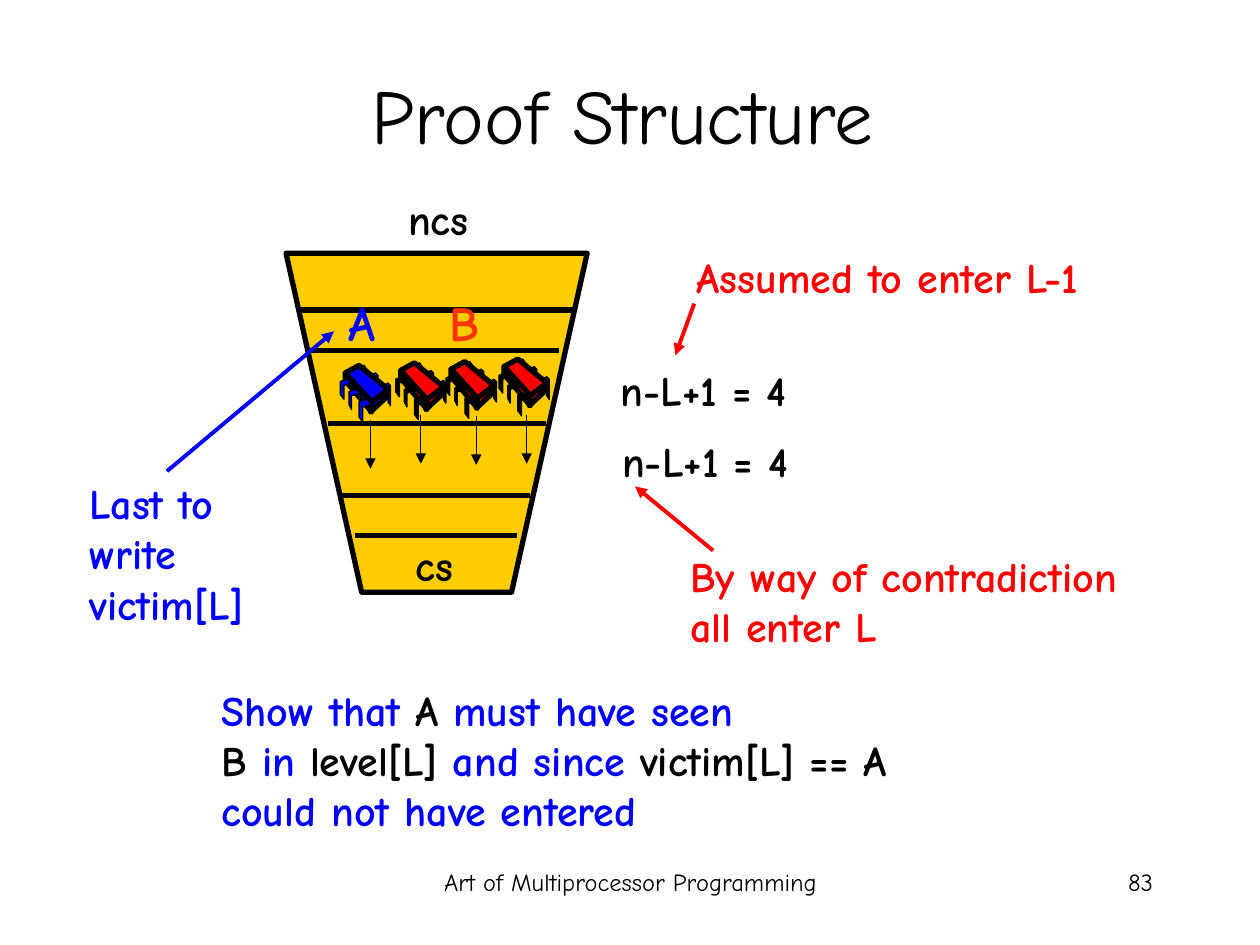
"""Builds the Proof Structure slide with its funnel of competing processors."""
import dataclasses

import lxml.etree
import pptx
import pptx.dml.color
import pptx.enum.shapes
import pptx.enum.text
import pptx.oxml.ns
import pptx.util

Align = pptx.enum.text.PP_ALIGN
EMU_PER_PX = 9144


@dataclasses.dataclass(frozen=True)
class Theme:
    font: str = "Comic Neue"
    black: str = "000000"
    blue: str = "0000FF"
    red: str = "FF0000"
    orange: str = "FF3300"
    gold: str = "FFCC00"
    title: int = 44
    letter: int = 28
    body: int = 24
    footer: int = 14
    thick: float = 3
    arrow: float = 2.25
    thin: float = 0.75


THEME = Theme()

LONG_LEG = [(0, 2), (4, 0), (6, 2), (6, 18), (4, 15), (4, 5), (0, 8)]
SHORT_LEG = [(0, 3), (4, 0), (6, 3), (6, 16), (4, 14), (4, 5), (0, 7)]
LONG_FRONT_LEG = [(6, 0), (10, 4), (3, 6), (3, 18), (0, 14), (0, 2)]
MIDDLE_FRONT_LEG = [(5, 0), (10, 3), (2, 5), (2, 16), (0, 12), (0, 2)]
SHORT_FRONT_LEG = [(5, 0), (9, 3), (3, 5), (3, 16), (0, 12), (0, 2)]
BACK_LEGS = [(34, 14, LONG_LEG), (24, 6, LONG_LEG), (15, 0, SHORT_LEG)]
FRONT_LEGS = [(15, 27, LONG_FRONT_LEG), (7, 19, MIDDLE_FRONT_LEG), (0, 11, SHORT_FRONT_LEG)]
BODY_FACES = [
    [(15, 0), (38, 19), (25, 30), (4, 6)],
    [(4, 6), (25, 29), (25, 37), (4, 12)],
    [(38, 19), (38, 24), (24, 37), (25, 29)],
]


def px(length):
    return pptx.util.Emu(length * EMU_PER_PX)


def rgb(color):
    return pptx.dml.color.RGBColor.from_string(color)


class SlideBuilder:
    def __init__(self, theme, page):
        self.theme = theme
        self.page = page

    def style(self, span, size, color, bold):
        span.font.name = self.theme.font
        span.font.size = pptx.util.Pt(size)
        span.font.bold = bold
        span.font.color.rgb = rgb(color)

    def title(self, text, left, top, width, height):
        box = self.page.shapes.title
        box.left, box.top, box.width, box.height = map(px, (left, top, width, height))
        box.text_frame.text = text
        box.text_frame.vertical_anchor = pptx.enum.text.MSO_ANCHOR.MIDDLE
        para = box.text_frame.paragraphs[0]
        para.alignment = Align.CENTER
        self.style(para.runs[0], self.theme.title, self.theme.black, False)

    def add_box(self, left, top, width, height, wrap):
        box = self.page.shapes.add_textbox(*map(px, (left, top, width, height)))
        box.text_frame.word_wrap = wrap
        if not wrap:
            box.text_frame.auto_size = pptx.enum.text.MSO_AUTO_SIZE.SHAPE_TO_FIT_TEXT
        return box

    def label(self, text, left, top, width, height, color, size=THEME.body):
        box = self.add_box(left, top, width, height, False)
        box.text_frame.text = text
        for para in box.text_frame.paragraphs:
            self.style(para.runs[0], size, color, True)
        return box

    def rich_label(self, lines, left, top, width, height):
        frame = self.add_box(left, top, width, height, False).text_frame
        for index, line in enumerate(lines):
            para = frame.add_paragraph() if index else frame.paragraphs[0]
            for text, color in line:
                span = para.add_run()
                span.text = text
                self.style(span, self.theme.body, color, True)

    def footer(self, text, left, width, alignment):
        frame = self.add_box(left, 683, width, 50, True).text_frame
        frame.text = text
        para = frame.paragraphs[0]
        para.alignment = alignment
        self.style(para.runs[0], self.theme.footer, self.theme.black, False)

    def polygon(self, shapes, points, fill, weight):
        outline = shapes.build_freeform(*points[0], scale=EMU_PER_PX)
        outline.add_line_segments(points[1:], close=True)
        shape = outline.convert_to_shape()
        shape.shadow.inherit = False
        shape.fill.solid()
        shape.fill.fore_color.rgb = rgb(fill)
        shape.line.color.rgb = rgb(self.theme.black)
        shape.line.width = pptx.util.Pt(weight)

    def line(self, start, end, color, weight, arrow=False):
        connector = self.page.shapes.add_connector(
            pptx.enum.shapes.MSO_CONNECTOR.STRAIGHT, *map(px, start + end))
        connector.line.color.rgb = rgb(color)
        connector.line.width = pptx.util.Pt(weight)
        if arrow:
            stroke = connector.line._get_or_add_ln()
            lxml.etree.SubElement(stroke, pptx.oxml.ns.qn("a:tailEnd"), type="triangle")
        lxml.etree.SubElement(connector._element.spPr, pptx.oxml.ns.qn("a:effectLst"))
        return connector

    def chip(self, left, top, body_color, leg_color):
        shapes = self.page.shapes.add_group_shape().shapes

        def part(dx, dy, points, fill, weight):
            moved = [(left + dx + x, top + dy + y) for x, y in points]
            self.polygon(shapes, moved, fill, weight)

        for leg in BACK_LEGS:
            part(*leg, leg_color, self.theme.thin)
        for face in BODY_FACES:
            part(0, 0, face, body_color, self.theme.thick)
        for leg in FRONT_LEGS:
            part(*leg, leg_color, self.theme.thin)


def main():
    deck = pptx.Presentation()
    deck.slide_width, deck.slide_height = px(1000), px(750)
    page = deck.slides.add_slide(deck.slide_layouts[5])
    theme = THEME
    black, blue, red = theme.black, theme.blue, theme.red
    builder = SlideBuilder(theme, page)

    builder.footer("Art of Multiprocessor Programming", 342, 317, Align.CENTER)
    builder.footer("83", 717, 208, Align.RIGHT)
    builder.title("Proof Structure", 69, 28, 850, 125)

    builder.label("ncs", 314, 149, 68, 50, black)
    funnel = [(227, 201), (287, 470), (406, 470), (466, 201)]
    builder.polygon(page.shapes, funnel, theme.gold, theme.thick)
    levels = [(239, 455, 246), (244, 444, 278), (260, 433, 336), (271, 421, 393), (282, 410, 425)]
    for left, right, y in levels:
        builder.line((left, y), (right, y), black, theme.thick)
    builder.label("cs", 320, 423, 50, 50, black)

    builder.label("Assumed to enter L-1", 543, 195, 327, 50, red)
    builder.line((551, 241), (536, 282), red, theme.arrow, arrow=True)
    builder.label("By way of contradiction\nall enter L", 538, 432, 360, 90, red)
    builder.line((566, 437), (504, 386), red, theme.arrow, arrow=True)

    for left, top in [(354, 287), (314, 288), (396, 285)]:
        builder.chip(left, top, red, black)
    builder.chip(270, 290, blue, blue)
    for x, y in [(294, 333), (334, 329), (378, 330), (418, 329)]:
        builder.line((x, y), (x, y + 39), black, theme.thin, arrow=True)

    for left, top in [(483, 284), (484, 341)]:
        builder.label("n-L+1 = 4", left, top, 156, 50, black)
    builder.label("A", 267, 227, 41, 57, blue, theme.letter)
    builder.label("B", 347, 227, 44, 57, theme.orange, theme.letter)

    last_writer = builder.label("Last to\nwrite\nvictim[L]", 61, 374, 143, 130, blue)
    pointer = builder.line((132, 372), (265, 263), blue, theme.arrow, arrow=True)
    pointer.begin_connect(last_writer, 0)

    builder.rich_label([
        [("Show that ", blue), ("A", black), (" must have seen", blue)],
        [("B", black), (" in ", blue), ("level[L]", black), (" and since ", blue),
         ("victim[L] == A", black)],
        [("could not have entered", blue)],
    ], 166, 538, 549, 130)

    deck.save("out.pptx")


if __name__ == "__main__":
    main()
